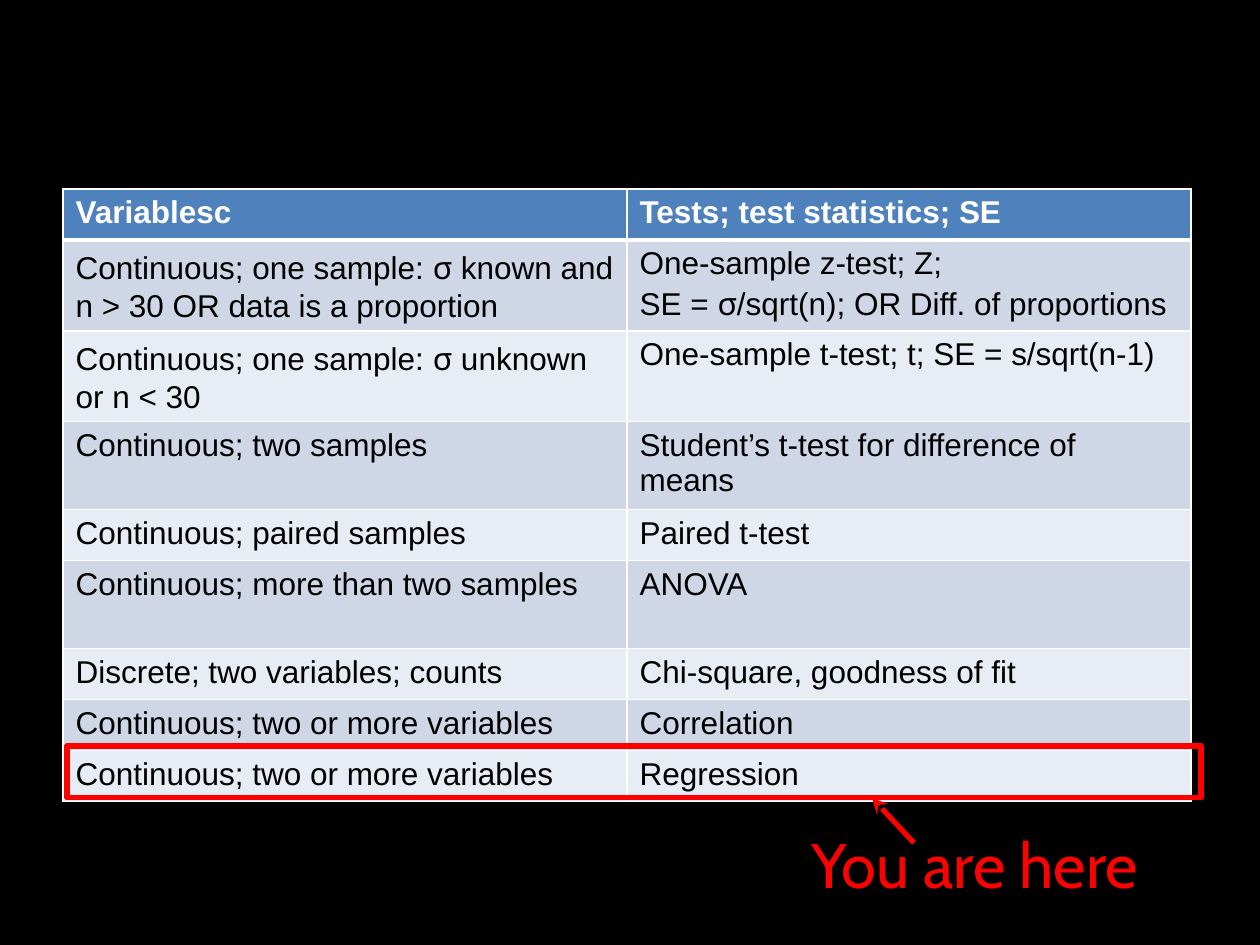
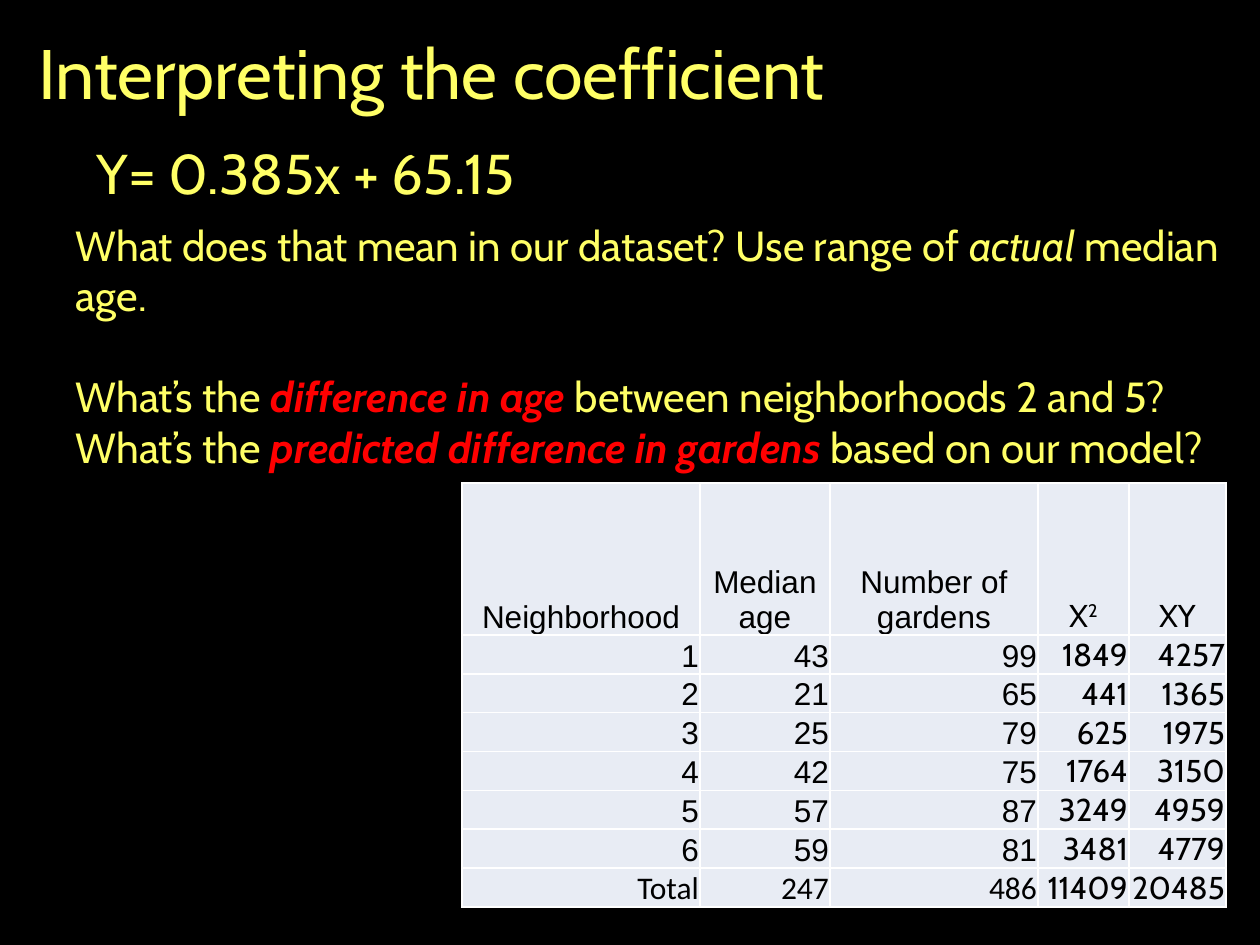
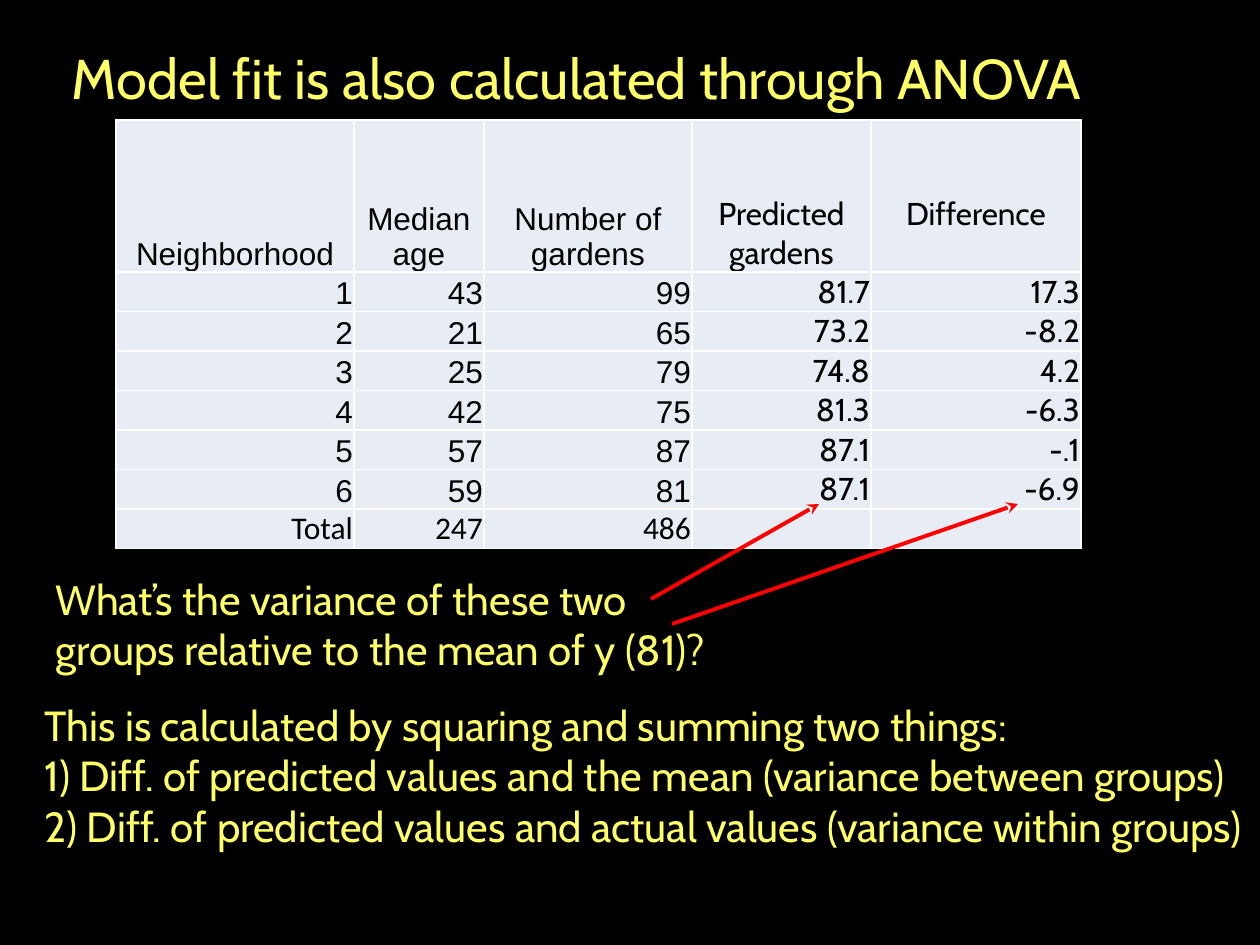
from typing import NamedTuple, Optional

from lxml.etree import SubElement
from pptx import Presentation
from pptx.dml.color import RGBColor
from pptx.enum.shapes import MSO_CONNECTOR, MSO_SHAPE
from pptx.enum.text import MSO_ANCHOR, MSO_AUTO_SIZE, PP_ALIGN
from pptx.oxml.ns import qn
from pptx.util import Emu, Pt

PX_PER_INCH = 126
BLACK = RGBColor(0x00, 0x00, 0x00)
WHITE = RGBColor(0xFF, 0xFF, 0xFF)
YELLOW = RGBColor(0xFF, 0xFF, 0x66)
RED = RGBColor(0xFF, 0x00, 0x00)
HEADER_BLUE = RGBColor(0x4F, 0x81, 0xBD)
BAND_DARK = RGBColor(0xCF, 0xD7, 0xE7)
BAND_LIGHT = RGBColor(0xE8, 0xEC, 0xF4)

DISPLAY = "Cabin"
TABLE_FONT = "Arial"
TOTAL_FONT = "Calibri"
SYMBOL_FONT = "Noto Sans"

BLANK_LAYOUT, TITLE_ONLY_LAYOUT, CONTENT_LAYOUT = 6, 5, 1


class Box(NamedTuple):
    left: int
    top: int
    width: int
    height: int


class Run(NamedTuple):
    text: str
    font: Optional[str] = None
    color: Optional[RGBColor] = None
    bold: bool = False
    italic: bool = False
    raised: bool = False


class Arrow(NamedTuple):
    start: tuple[int, int]
    end: tuple[int, int]
    weight: float


Text = str | list[Run]

TEST_ROWS = [
    ("Variablesc", "Tests; test statistics; SE"),
    ("Continuous; one sample: σ known and n > 30 OR data is a proportion",
     "One-sample z-test; Z;\nSE = σ/sqrt(n); OR Diff. of proportions"),
    ("Continuous; one sample: σ unknown or n < 30",
     "One-sample t-test; t; SE = s/sqrt(n-1)"),
    ("Continuous; two samples", "Student’s t-test for difference of means"),
    ("Continuous; paired samples", "Paired t-test"),
    ("Continuous; more than two samples", "ANOVA"),
    ("Discrete; two variables; counts", "Chi-square, goodness of fit"),
    ("Continuous; two or more variables", "Correlation"),
    ("Continuous; two or more variables", "Regression"),
]
TEST_ROW_HEIGHTS = [51, 88, 88, 88, 51, 88, 51, 51, 51]

GARDEN_COLUMNS = [
    ["Neighborhood", "1", "2", "3", "4", "5", "6", "Total"],
    ["Median age", "43", "21", "25", "42", "57", "59", "247"],
    ["Number of gardens", "99", "65", "79", "75", "87", "81", "486"],
]
GARDEN_WIDTHS = [238, 130, 208]
PRODUCT_COLUMNS = [
    [[Run("X"), Run("2", raised=True)],
     "1849", "441", "625", "1764", "3249", "3481", "11409"],
    ["XY", "4257", "1365", "1975", "3150", "4959", "4779", "20485"],
]
PREDICTION_COLUMNS = [
    ["Predicted gardens", "81.7", "73.2", "74.8", "81.3", "87.1", "87.1", ""],
    ["Difference", "17.3", "-8.2", "4.2", "-6.3", "-.1", "-6.9", ""],
]

AGE_QUESTIONS = [
    [Run("What does that mean in our dataset? Use range of "),
     Run("actual", italic=True), Run(" median age.")],
    [Run("What’s the "),
     Run("difference in age ", color=RED, bold=True, italic=True),
     Run("between neighborhoods 2 and 5?")],
    [Run("What’s the "),
     Run("predicted difference in gardens ", color=RED, bold=True, italic=True),
     Run("based on our model?")],
]
VARIANCE_STEPS = [
    "This is calculated by squaring and summing two things:",
    "1) Diff. of predicted values and the mean (variance between groups)",
    "2) Diff. of predicted values and actual values (variance within groups)",
]


def px(length: int) -> Emu:
    return Emu(round(length * 914400 / PX_PER_INCH))


def place(box: Box) -> tuple[Emu, ...]:
    return tuple(px(length) for length in box)


def split_sigma(text: str) -> list[Run]:
    """Set each sigma in the symbol font, as its own run."""
    before, sigma, after = text.partition("σ")
    runs = [Run(before), Run(sigma, font=SYMBOL_FONT), Run(after)]
    return [run for run in runs if run.text]


def write(frame, paragraphs: list[Text], *, size: int = 24, font: str = DISPLAY,
          color: RGBColor = YELLOW, bold: bool = False,
          align: PP_ALIGN = PP_ALIGN.LEFT, gaps: tuple[int, ...] = ()) -> None:
    """Fill a text frame; gaps gives the points of space before each paragraph."""
    for index, content in enumerate(paragraphs):
        paragraph = frame.paragraphs[0] if index == 0 else frame.add_paragraph()
        paragraph.alignment = align
        paragraph.space_before = Pt(gaps[index] if gaps else 0)
        for part in split_sigma(content) if isinstance(content, str) else content:
            run = paragraph.add_run()
            run.text = part.text
            run.font.size = Pt(size)
            run.font.name = part.font or font
            run.font.color.rgb = part.color or color
            run.font.bold = bold or part.bold
            run.font.italic = part.italic
            if part.raised:
                run.font._element.set("baseline", "30000")


def fill_placeholder(placeholder, box: Box, paragraphs: list[Text], **style) -> None:
    placeholder.left, placeholder.top, placeholder.width, placeholder.height = place(box)
    frame = placeholder.text_frame
    frame.word_wrap = True
    frame.auto_size = MSO_AUTO_SIZE.NONE
    frame.vertical_anchor = MSO_ANCHOR.TOP
    write(frame, paragraphs, **style)
    for paragraph in frame.paragraphs:
        properties = paragraph._p.get_or_add_pPr()
        properties.set("marL", "0")
        properties.set("indent", "0")
        SubElement(properties, qn("a:buNone"))


def add_text(slide, box: Box, text: str, **style) -> None:
    frame = slide.shapes.add_textbox(*place(box)).text_frame
    frame.word_wrap = True
    write(frame, [text], **style)


def add_arrow(slide, arrow: Arrow) -> None:
    ends = [px(length) for length in arrow.start + arrow.end]
    connector = slide.shapes.add_connector(MSO_CONNECTOR.STRAIGHT, *ends)
    connector.line.color.rgb = RED
    connector.line.width = Pt(arrow.weight)
    SubElement(connector.line._get_or_add_ln(), qn("a:tailEnd"), type="stealth")
    SubElement(connector._element.spPr, qn("a:effectLst"))


def style_cell(cell, fill: RGBColor, top: int = 1, bottom: int = 1) -> None:
    """Fill the cell and rule it in white, with edge weights in points."""
    cell.fill.solid()
    cell.fill.fore_color.rgb = fill
    properties = cell._tc.get_or_add_tcPr()
    edges = {"a:lnL": 1, "a:lnR": 1, "a:lnT": top, "a:lnB": bottom}
    for position, (tag, weight) in enumerate(edges.items()):
        edge = SubElement(properties, qn(tag), w=str(Pt(weight)))
        solid = SubElement(edge, qn("a:solidFill"))
        SubElement(solid, qn("a:srgbClr"), val=str(WHITE))
        properties.insert(position, edge)


def add_grid(slide, left: int, top: int, widths: list[int], heights: list[int]):
    box = Box(left, top, sum(widths), sum(heights))
    table = slide.shapes.add_table(len(heights), len(widths), *place(box)).table
    table.first_row = table.horz_banding = False
    for column, width in zip(table.columns, widths):
        column.width = px(width)
    for row, height in zip(table.rows, heights):
        row.height = px(height)
    return table


def add_test_table(slide) -> None:
    table = add_grid(slide, 63, 189, [564, 564], TEST_ROW_HEIGHTS)
    for row, texts in enumerate(TEST_ROWS):
        header = row == 0
        fill = HEADER_BLUE if header else BAND_DARK if row % 2 else BAND_LIGHT
        for column, text in enumerate(texts):
            cell = table.cell(row, column)
            style_cell(cell, fill, top=3 if row == 1 else 1, bottom=3 if header else 1)
            write(cell.text_frame, text.split("\n"), size=18, font=TABLE_FONT,
                  color=WHITE if header else BLACK, bold=header)


def add_garden_table(slide, left: int, top: int, extra_columns: list[list[Text]],
                     extra_widths: list[int]):
    """Draw the neighborhood data, followed by the slide's own columns."""
    columns = GARDEN_COLUMNS + extra_columns
    last_row = len(columns[0]) - 1
    table = add_grid(slide, left, top, GARDEN_WIDTHS + extra_widths,
                     [152] + [35] * last_row)
    for column, values in enumerate(columns):
        for row, value in enumerate(values):
            cell = table.cell(row, column)
            style_cell(cell, BAND_LIGHT)
            cell.vertical_anchor = MSO_ANCHOR.BOTTOM
            cell.margin_left = cell.margin_right = cell.margin_top = px(1)
            cell.margin_bottom = 0
            if column >= len(GARDEN_COLUMNS):
                font = DISPLAY
            else:
                font = TOTAL_FONT if row == last_row else TABLE_FONT
            write(cell.text_frame, [value], size=18, font=font, color=BLACK,
                  align=PP_ALIGN.RIGHT if row else PP_ALIGN.CENTER)
    return table


def build_test_overview(prs) -> None:
    slide = prs.slides.add_slide(prs.slide_layouts[BLANK_LAYOUT])
    add_test_table(slide)
    highlight = slide.shapes.add_shape(MSO_SHAPE.RECTANGLE, *place(Box(67, 746, 1134, 52)))
    highlight.shadow.inherit = False
    highlight.fill.background()
    highlight.line.color.rgb = RED
    highlight.line.width = Pt(3)
    add_arrow(slide, Arrow((914, 843), (872, 798), 3))
    add_text(slide, Box(799, 819, 408, 89), "You are here", size=36, color=RED)


def build_coefficient(prs) -> None:
    slide = prs.slides.add_slide(prs.slide_layouts[CONTENT_LAYOUT])
    fill_placeholder(slide.shapes.title, Box(26, 23, 1144, 83),
                     ["Interpreting the coefficient"], size=40)
    fill_placeholder(slide.placeholders[1], Box(63, 213, 1181, 267),
                     AGE_QUESTIONS, gaps=(0, 29, 0))
    add_text(slide, Box(84, 132, 641, 81), "Y= 0.385x + 65.15", size=32)
    add_garden_table(slide, 462, 483, PRODUCT_COLUMNS, [91, 97])


def build_model_fit(prs) -> None:
    slide = prs.slides.add_slide(prs.slide_layouts[CONTENT_LAYOUT])
    fill_placeholder(slide.shapes.title, Box(59, 37, 1174, 81),
                     ["Model fit is also calculated through ANOVA"], size=32)
    fill_placeholder(slide.placeholders[1], Box(32, 693, 1228, 165), VARIANCE_STEPS)
    table = add_garden_table(slide, 116, 120, PREDICTION_COLUMNS, [179, 210])
    table.cell(0, 4).margin_bottom = px(39)
    add_text(slide, Box(43, 567, 721, 115),
             "What’s the variance of these two groups relative to the mean of y (81)?")
    for arrow in (Arrow((651, 599), (819, 504), 2.25),
                  Arrow((672, 624), (1018, 504), 2.25)):
        add_arrow(slide, arrow)


def main() -> None:
    prs = Presentation()
    prs.slide_width, prs.slide_height = px(1260), px(945)
    background = prs.slide_master.background.fill
    background.solid()
    background.fore_color.rgb = BLACK
    build_test_overview(prs)
    build_coefficient(prs)
    build_model_fit(prs)
    prs.save("out.pptx")


if __name__ == "__main__":
    main()
